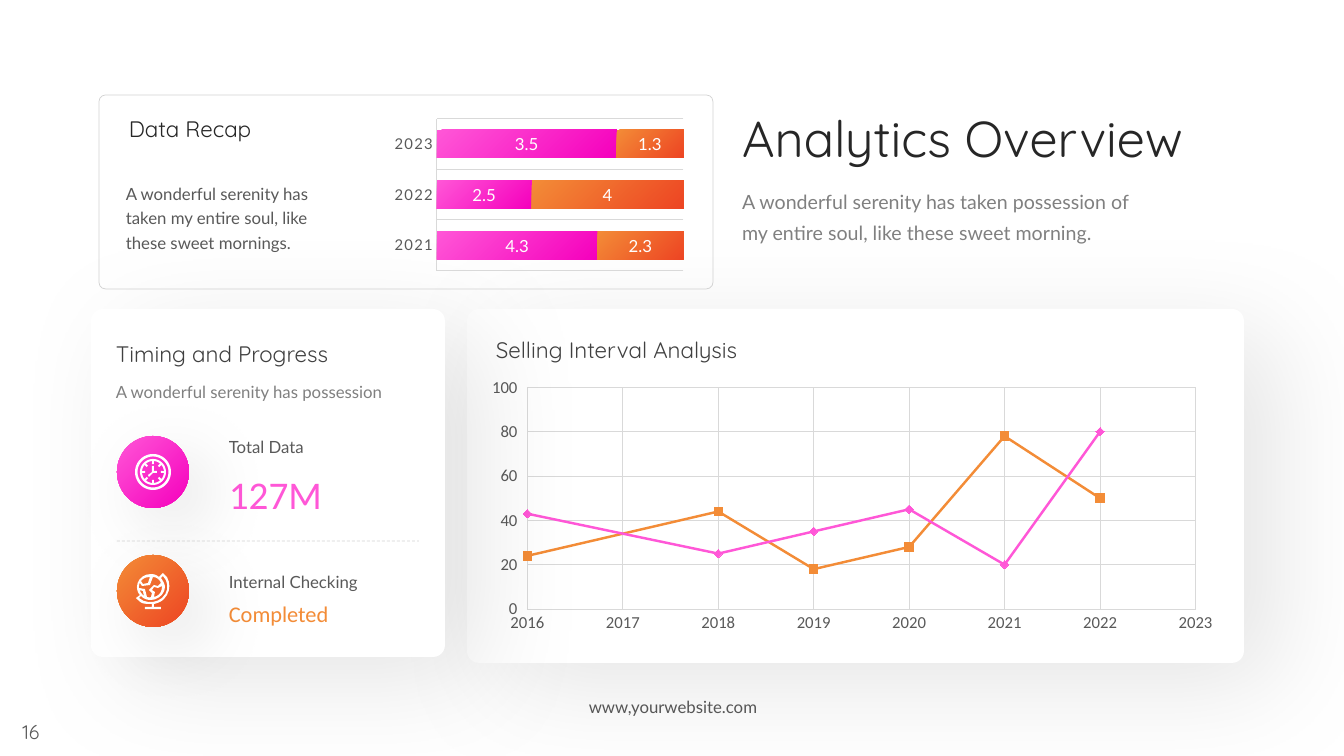
from math import cos, radians, sin

from lxml.etree import SubElement
from pptx import Presentation
from pptx.chart.data import CategoryChartData, XyChartData
from pptx.dml.color import RGBColor
from pptx.enum.chart import XL_CHART_TYPE as Chart, XL_LABEL_POSITION as Label
from pptx.enum.chart import XL_MARKER_STYLE as Marker, XL_TICK_LABEL_POSITION as TickLabel
from pptx.enum.chart import XL_TICK_MARK as Tick
from pptx.enum.dml import MSO_LINE as Dash
from pptx.enum.shapes import MSO_CONNECTOR as Connector, MSO_SHAPE as Preset
from pptx.enum.text import MSO_ANCHOR as Anchor, MSO_AUTO_SIZE as AutoSize, PP_ALIGN as Align
from pptx.oxml import parse_xml
from pptx.oxml.ns import nsdecls, qn
from pptx.util import Pt

PINK, ORANGE = ("FF57D7", "F500BD"), ("F38C37", "ED4523")
INK, DARK, BODY, MUTED = "262626", "404040", "595959", "808080"
BORDER, GRID, WHITE = "A6A6A6", "D9D9D9", "FFFFFF"
HEADING, TEXT, PLAIN = "Quicksand", "Lato", "Calibri"

GLOBE = (
    "28,26 34,20,35,11,31,4 30,3,29,2,27,0 23,4 21,2,18,1,15,1 7,1,1,7,1,14 "
    "1,17,2,20,4,22 0,25 2,27,4,29,6,30 9,31,13,31,16,31 16,34 9,34 9,36 25,36 "
    "25,34 18,34 18,31 22,30,25,29,28,26",
    "26,14 26,19,23,23,18,24 19,19 16,17 18,14 22,15 26,13",
    "22,13 18,12 13,17 16,20 15,24 14,25,12,24,11,24 9,16 3,15 3,13,3,11,4,10 "
    "6,13 14,12 17,4 21,4,24,7,25,10",
    "8,23 6,21,4,19,4,17 7,18",
    "14,4 12,10 7,11 5,8 7,5,11,4,14,4",
    "3,25 5,23 8,26,11,27,15,27 22,27,29,21,29,14 29,11,27,8,25,5 27,3 "
    "33,9,33,19,26,25 20,30,10,31,3,25",
)
CLOCK_HANDS = [(-1, -6), (1, -6), (1, -1), (4, -1), (4, 1), (0, 1), (-4, 5), (-5, 3), (-1, 0)]


def px(length):
    return round(length * 914400 / 100.8)


def rgb(colour):
    return RGBColor.from_string(colour)


def paint(fill, colour):
    if isinstance(colour, str):
        fill.solid()
        fill.fore_color.rgb = rgb(colour)
        return
    fill.gradient()
    fill.gradient_angle = 315
    for stop, shade in zip(fill.gradient_stops, colour):
        stop.color.rgb = rgb(shade)


def style_font(font, size, colour, face):
    font.size, font.name, font.bold = Pt(size), face, False
    paint(font.fill, colour)


def write(box, text, size=12, colour=BODY, face=TEXT, align=Align.LEFT, spacing=1.0, after=0):
    frame = box.text_frame
    frame.word_wrap = True
    frame.auto_size = AutoSize.SHAPE_TO_FIT_TEXT
    frame.vertical_anchor = Anchor.TOP
    para = frame.paragraphs[0]
    para.alignment, para.line_spacing = align, spacing
    para.space_before, para.space_after = Pt(0), Pt(after)
    span = para.add_run()
    span.text = text
    style_font(span.font, size, colour, face)


def outline(shape, line):
    line.width = Pt(0.5)
    paint(line.fill, BORDER)
    colour = shape.element.xpath(".//a:ln//a:srgbClr")[0]
    SubElement(colour, qn("a:alpha")).set("val", "50000")


def polar(radius, degrees):
    return radius * cos(radians(degrees)), radius * sin(radians(degrees))


def trace(outline_text):
    points = []
    for step in outline_text.split():
        values = [int(value) for value in step.split(",")]
        if len(values) == 2:
            points.append(tuple(values))
            continue
        corners = [points[-1]] + list(zip(values[::2], values[1::2]))
        for t in (0.2, 0.4, 0.6, 0.8, 1):
            weights = ((1 - t) ** 3, 3 * t * (1 - t) ** 2, 3 * t * t * (1 - t), t ** 3)
            points.append(tuple(sum(w * c[axis] for w, c in zip(weights, corners)) for axis in (0, 1)))
    return points


def clock_contours():
    rings = [[polar(radius, angle) for angle in range(0, 360, 6)] for radius in (18, 15.5, 13)]
    dial = []
    for hour in range(0, 360, 45):
        notch = ((11, -5), (8, -7), (8, 7), (11, 5), (11, 15), (11, 22), (11, 30))
        dial += [polar(radius, hour + turn) for radius, turn in notch]
    return rings + [dial, CLOCK_HANDS]


class SlideBuilder:
    """Holds the current slide and draws its elements in one style."""

    def __init__(self, page):
        self.page, self.shapes = page, page.shapes

    def text(self, place, text, **style):
        write(self.shapes.add_textbox(*map(px, place)), text, **style)

    def placeholder(self, index, place, text, **style):
        box = self.page.placeholders[index]
        box.left, box.top, box.width, box.height = map(px, place)
        properties = box.text_frame.paragraphs[0]._p.get_or_add_pPr()
        properties.set("marL", "0")
        properties.set("indent", "0")
        SubElement(properties, qn("a:buNone"))
        write(box, text, **style)

    def panel(self, place, fill=None, corner=0.034, shadow=None):
        shape = self.shapes.add_shape(Preset.ROUNDED_RECTANGLE, *map(px, place))
        shape.adjustments[0] = corner
        shape.shadow.inherit = False
        if fill:
            paint(shape.fill, fill)
            shape.line.fill.background()
        else:
            shape.fill.background()
            outline(shape, shape.line)
        if shadow:
            blur, distance, angle = shadow
            shape.element.xpath("./p:spPr/a:effectLst")[0].append(parse_xml(
                f'<a:outerShdw {nsdecls("a")} blurRad="{Pt(blur)}" dist="{Pt(distance)}" '
                f'dir="{angle * 60000}" algn="ctr" rotWithShape="0"><a:srgbClr val="000000">'
                '<a:alpha val="10000"/></a:srgbClr></a:outerShdw>'))

    def icon(self, left, top, contours):
        scaled = [[(px(x), px(y)) for x, y in contour] for contour in contours]
        builder = self.shapes.build_freeform(*scaled[0][0], scale=1.0)
        for number, contour in enumerate(scaled):
            if number:
                builder.move_to(*contour[0])
            builder.add_line_segments(contour[1:], close=True)
        shape = builder.convert_to_shape(px(left), px(top))
        shape.shadow.inherit = False
        paint(shape.fill, WHITE)
        shape.line.fill.background()

    def divider(self, left, right, top):
        rule = self.shapes.add_connector(Connector.STRAIGHT, *map(px, (left, top, right, top)))
        outline(rule, rule.line)
        rule.line.dash_style = Dash.DASH
        SubElement(rule.element.spPr, qn("a:effectLst"))

    def chart(self, kind, place, data, face, plot_area):
        chart = self.shapes.add_chart(kind, *map(px, place), data).chart
        chart.has_legend = chart.has_title = False
        style_font(chart.font, 10, "000000", face)
        area = chart.element.xpath(".//c:plotArea")[0]
        for layout in area.findall(qn("c:layout")):
            area.remove(layout)
        sizes = "".join(f'<c:{tag} val="{value}"/>' for tag, value in zip("xywh", plot_area))
        area.insert(0, parse_xml(
            f'<c:layout {nsdecls("c")}><c:manualLayout><c:layoutTarget val="inner"/>'
            f'<c:xMode val="edge"/><c:yMode val="edge"/>{sizes}</c:manualLayout></c:layout>'))
        return chart

    def axis(self, axis, size, face):
        axis.has_major_gridlines = True
        axis.major_tick_mark = axis.minor_tick_mark = Tick.NONE
        style_font(axis.tick_labels.font, size, BODY, face)
        for line in (axis.format.line, axis.major_gridlines.format.line):
            line.width = Pt(0.75)
            paint(line.fill, GRID)

    def selling_chart(self, place):
        data = XyChartData(number_format="General")
        years = (2016, 2018, 2019, 2020, 2021, 2022)
        rows = ((43, 25, 35, 45, 20, 80), (24, 44, 18, 28, 78, 50))
        for number, row in enumerate(rows, 1):
            series = data.add_series(f"Series {number}")
            for year, value in zip(years, row):
                series.add_data_point(year, value)
        chart = self.chart(Chart.XY_SCATTER_SMOOTH, place, data, PLAIN, (0.045, 0.108, 0.92, 0.658))
        limits = ((chart.category_axis, 2016, 2023, 1), (chart.value_axis, 0, 100, 20))
        for axis, low, high, step in limits:
            self.axis(axis, 12, PLAIN)
            axis.minimum_scale, axis.maximum_scale, axis.major_unit = low, high, step
        chart.value_axis.tick_label_position = TickLabel.LOW
        chart.plots[0].vary_by_categories = False
        looks = ((PINK[0], Marker.DIAMOND), (ORANGE[0], Marker.SQUARE))
        for series, (colour, marker) in zip(chart.plots[0].series, looks):
            series.smooth = True
            series.format.line.width = Pt(1.75)
            series.marker.style, series.marker.size = marker, 6
            for fill in (series.format.line.fill, series.marker.format.fill, series.marker.format.line.fill):
                paint(fill, colour)

    def recap_chart(self, place):
        data = CategoryChartData(number_format="General")
        data.categories = ("2021", "2022", "2023")
        data.add_series("Series 1", (4.3, 2.5, 3.5))
        data.add_series("Series 2", (2.3, 4, 1.3))
        chart = self.chart(Chart.BAR_STACKED_100, place, data, TEXT, (0.216, 0, 0.732, 0.966))
        self.axis(chart.category_axis, 10.6, TEXT)
        chart.element.xpath(".//c:catAx//a:defRPr")[0].set("spc", "100")
        chart.value_axis.has_major_gridlines = chart.value_axis.visible = False
        plot = chart.plots[0]
        plot.gap_width, plot.overlap, plot.vary_by_categories = 79, 100, False
        for series, colours in zip(plot.series, (PINK, ORANGE)):
            paint(series.format.fill, colours)
            labels = series.data_labels
            labels.show_value, labels.position = True, Label.CENTER
            style_font(labels.font, 12, WHITE, TEXT)


def main():
    deck = Presentation()
    deck.slide_width, deck.slide_height = px(1344), px(756)
    slide = SlideBuilder(deck.slides.add_slide(deck.slide_layouts[1]))
    loose = {"spacing": 1.3, "after": 6}
    heading = {"size": 16, "colour": DARK, "face": HEADING, **loose}

    slide.placeholder(0, (732, 102, 466, 72), "Analytics Overview", size=36, colour=INK, face=HEADING, after=6)
    slide.placeholder(1, (732, 178, 432, 69), "A wonderful serenity has taken possession of my entire soul, "
                      "like these sweet morning.", size=14, colour=MUTED, **loose)
    slide.text((0, 715, 62, 34), "16", size=14, face=HEADING, align=Align.CENTER)
    slide.text((550, 692, 246, 30), "www,yourwebsite.com", align=Align.CENTER)

    slide.panel((467, 309, 777, 354), WHITE, shadow=(80, 30, 35))
    slide.selling_chart((492, 351, 729, 337))
    slide.panel((91, 309, 354, 348), WHITE, shadow=(80, 30, 35))
    slide.text((106, 327, 325, 42), "Timing and Progress", **heading)
    slide.text((106, 371, 325, 33), "A wonderful serenity has possession", colour=MUTED, **loose)
    metrics = (
        ("Total Data", 426, "127M", 451, 67, 28, PINK, 436),
        ("Internal Checking", 561, "Completed", 587, 42, 16, ORANGE, 555),
    )
    for label, label_top, value, value_top, height, size, colours, badge_top in metrics:
        slide.text((219, label_top, 212, 33), label, **loose)
        slide.text((219, value_top, 212, height), value, size=size, colour=colours, face=PLAIN, **loose)
        slide.panel((117, badge_top, 72, 72), colours, corner=0.5, shadow=(50, 20, 45))
    slide.icon(153, 472, clock_contours())
    slide.icon(136, 573, [trace(contour) for contour in GLOBE])
    slide.divider(117, 419, 541)
    slide.text((486, 323, 325, 42), "Selling Interval Analysis", **heading)

    slide.panel((99, 95, 614, 194))
    slide.recap_chart((364, 118, 337, 158))
    slide.text((119, 102, 245, 42), "Data Recap", **{**heading, "colour": INK})
    slide.text((116, 175, 237, 81), "A wonderful serenity has taken my entire soul, like these sweet mornings.",
               spacing=1.2)
    deck.save("out.pptx")


if __name__ == "__main__":
    main()
